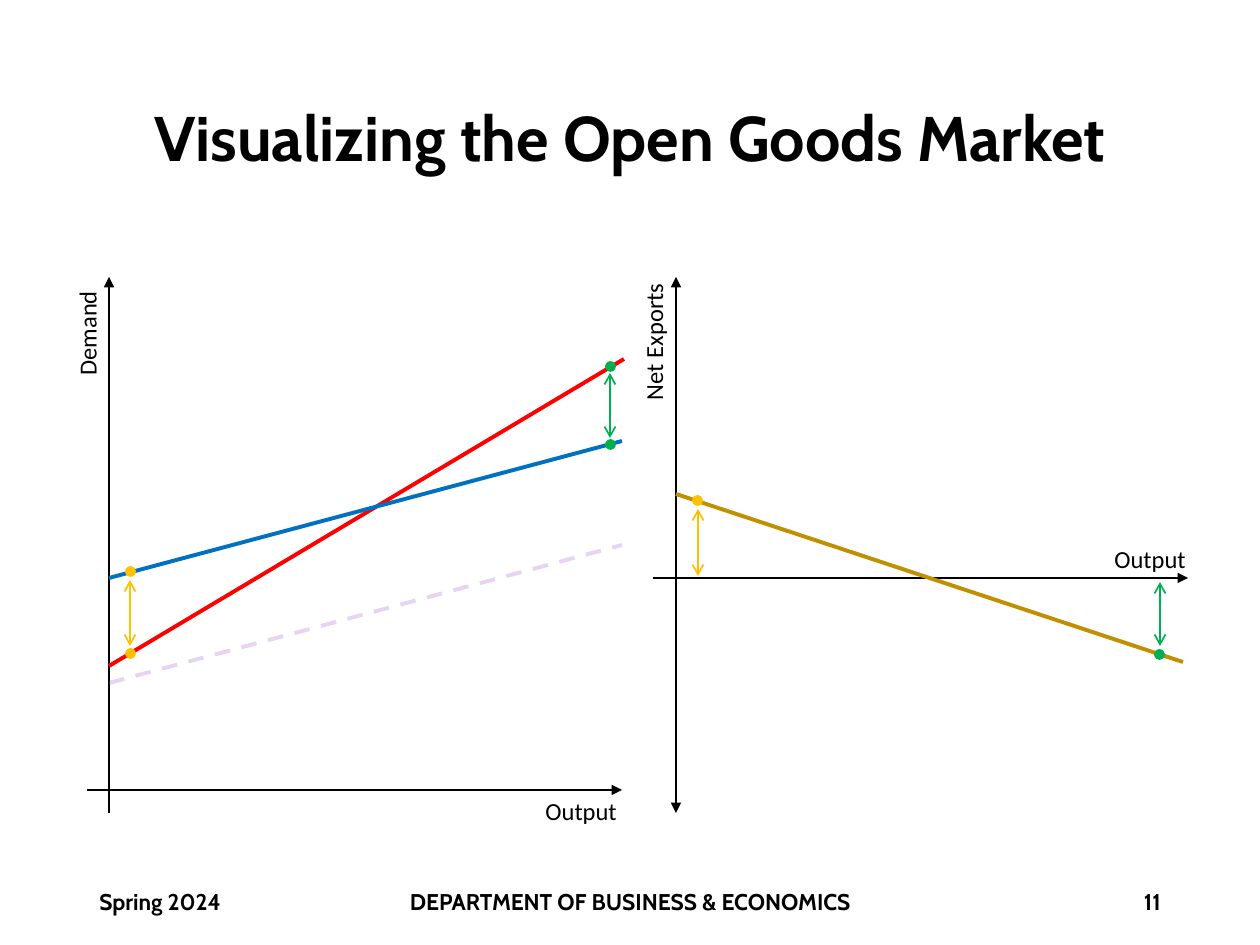
from typing import NamedTuple

from lxml.etree import SubElement
from pptx import Presentation
from pptx.dml.color import RGBColor
from pptx.enum.dml import MSO_LINE
from pptx.enum.shapes import MSO_CONNECTOR, MSO_SHAPE
from pptx.enum.text import MSO_ANCHOR, PP_ALIGN
from pptx.oxml.ns import qn
from pptx.util import Emu, Pt

PX_PER_INCH = 126
BLACK, RED, BLUE, PURPLE = "000000", "FF0000", "0070C0", "9C5BCD"
OCHRE, GOLD, GREEN = "BF9000", "FFC000", "00B050"
DOT_SIZE = 9


class Line(NamedTuple):
    x1: int
    y1: int
    x2: int
    y2: int
    color: str
    width: float = 2.25
    head: str = ""
    tail: str = ""
    dashed: bool = False
    opacity: int = 100


class Dot(NamedTuple):
    x: int
    y: int
    color: str


class Label(NamedTuple):
    text: str
    x: int
    y: int
    width: int
    rotation: int = 0


class FooterItem(NamedTuple):
    text: str
    x: int
    width: int
    align: PP_ALIGN


def px(length: int) -> Emu:
    return Emu(round(length * 914400 / PX_PER_INCH))


def rgb(color: str) -> RGBColor:
    return RGBColor.from_string(color)


def place(shape, x: int, y: int, width: int, height: int) -> None:
    shape.left, shape.top = px(x), px(y)
    shape.width, shape.height = px(width), px(height)


def write(shape, text: str, *, size: int, font: str = "Cabin", bold: bool = True,
          align: PP_ALIGN = PP_ALIGN.LEFT, anchor: MSO_ANCHOR = MSO_ANCHOR.MIDDLE,
          wrap: bool = True, spacing: float = 1.0) -> None:
    frame = shape.text_frame
    frame.word_wrap = wrap
    frame.vertical_anchor = anchor
    paragraph = frame.paragraphs[0]
    paragraph.alignment = align
    paragraph.line_spacing = spacing
    run = paragraph.add_run()
    run.text = text
    run.font.size = Pt(size)
    run.font.name = font
    run.font.bold = bold
    run.font.color.rgb = rgb(BLACK)


def draw_line(shapes, line: Line) -> None:
    connector = shapes.add_connector(MSO_CONNECTOR.STRAIGHT, px(line.x1), px(line.y1),
                                     px(line.x2), px(line.y2))
    connector.line.width = Pt(line.width)
    connector.line.color.rgb = rgb(line.color)
    if line.dashed:
        connector.line.dash_style = MSO_LINE.DASH
    properties = connector.line._get_or_add_ln()
    if line.opacity < 100:
        fill_color = properties.find(qn("a:solidFill"))[0]
        SubElement(fill_color, qn("a:alpha"), val=str(line.opacity * 1000))
    for tag, arrow in (("a:headEnd", line.head), ("a:tailEnd", line.tail)):
        if arrow:
            SubElement(properties, qn(tag), type=arrow)
    SubElement(connector._element.spPr, qn("a:effectLst"))


def draw_dot(shapes, dot: Dot) -> None:
    corner = DOT_SIZE // 2
    marker = shapes.add_shape(MSO_SHAPE.OVAL, px(dot.x - corner), px(dot.y - corner),
                              px(DOT_SIZE), px(DOT_SIZE))
    marker.shadow.inherit = False
    marker.fill.solid()
    marker.fill.fore_color.rgb = rgb(dot.color)
    marker.line.color.rgb = rgb(dot.color)
    marker.line.width = Pt(1)


def draw_label(shapes, label: Label) -> None:
    box = shapes.add_textbox(px(label.x), px(label.y), px(label.width), px(43))
    box.rotation = label.rotation
    write(box, label.text, size=14, font="Calibri", bold=False,
          anchor=MSO_ANCHOR.TOP, wrap=False)


def axis(x1: int, y1: int, x2: int, y2: int, head: str = "") -> Line:
    return Line(x1, y1, x2, y2, BLACK, 1.5, head, "triangle")


def gap(x: int, top: int, bottom: int, color: str) -> Line:
    return Line(x, top, x, bottom, color, 1, "arrow", "arrow")


LINES = [
    # Demand panel: axes, then curves
    axis(87, 790, 622, 790),
    axis(109, 813, 109, 277),
    Line(109, 666, 624, 359, RED),
    Line(109, 683, 622, 545, PURPLE, dashed=True, opacity=25),
    Line(109, 578, 622, 441, BLUE),
    # Net exports panel: axes, then curve
    axis(653, 578, 1188, 578),
    axis(676, 813, 676, 277, head="triangle"),
    Line(676, 494, 1183, 662, OCHRE),
    # Trade surplus and deficit
    gap(130, 580, 646, GOLD),
    gap(610, 373, 438, GREEN),
    gap(698, 509, 576, GOLD),
    gap(1160, 582, 646, GREEN),
]

DOTS = [
    Dot(130, 571, GOLD), Dot(130, 653, GOLD),
    Dot(610, 366, GREEN), Dot(610, 444, GREEN),
    Dot(697, 500, GOLD), Dot(1159, 654, GREEN),
]

LABELS = [
    Label("Demand", 32, 311, 111, 270),
    Label("Output", 533, 790, 98),
    Label("Net Exports", 582, 319, 144, 270),
    Label("Output", 1102, 538, 98),
]

FOOTER = [
    FooterItem("Spring 2024", 87, 284, PP_ALIGN.LEFT),
    FooterItem("DEPARTMENT OF BUSINESS & ECONOMICS", 233, 794, PP_ALIGN.CENTER),
    FooterItem("11", 889, 284, PP_ALIGN.RIGHT),
]


def main() -> None:
    deck = Presentation()
    deck.slide_width, deck.slide_height = px(1260), px(945)
    slide = deck.slides.add_slide(deck.slide_layouts[5])
    shapes = slide.shapes

    # Title
    place(shapes.title, 87, 50, 1086, 183)
    write(shapes.title, "Visualizing the Open Goods Market", size=36,
          align=PP_ALIGN.CENTER, spacing=0.9)

    # Diagrams
    for line in LINES:
        draw_line(shapes, line)
    for dot in DOTS:
        draw_dot(shapes, dot)
    for label in LABELS:
        draw_label(shapes, label)

    # Footer
    for item in FOOTER:
        box = shapes.add_textbox(px(item.x), px(876), px(item.width), px(50))
        write(box, item.text, size=13, align=item.align)

    deck.save("out.pptx")


if __name__ == "__main__":
    main()
